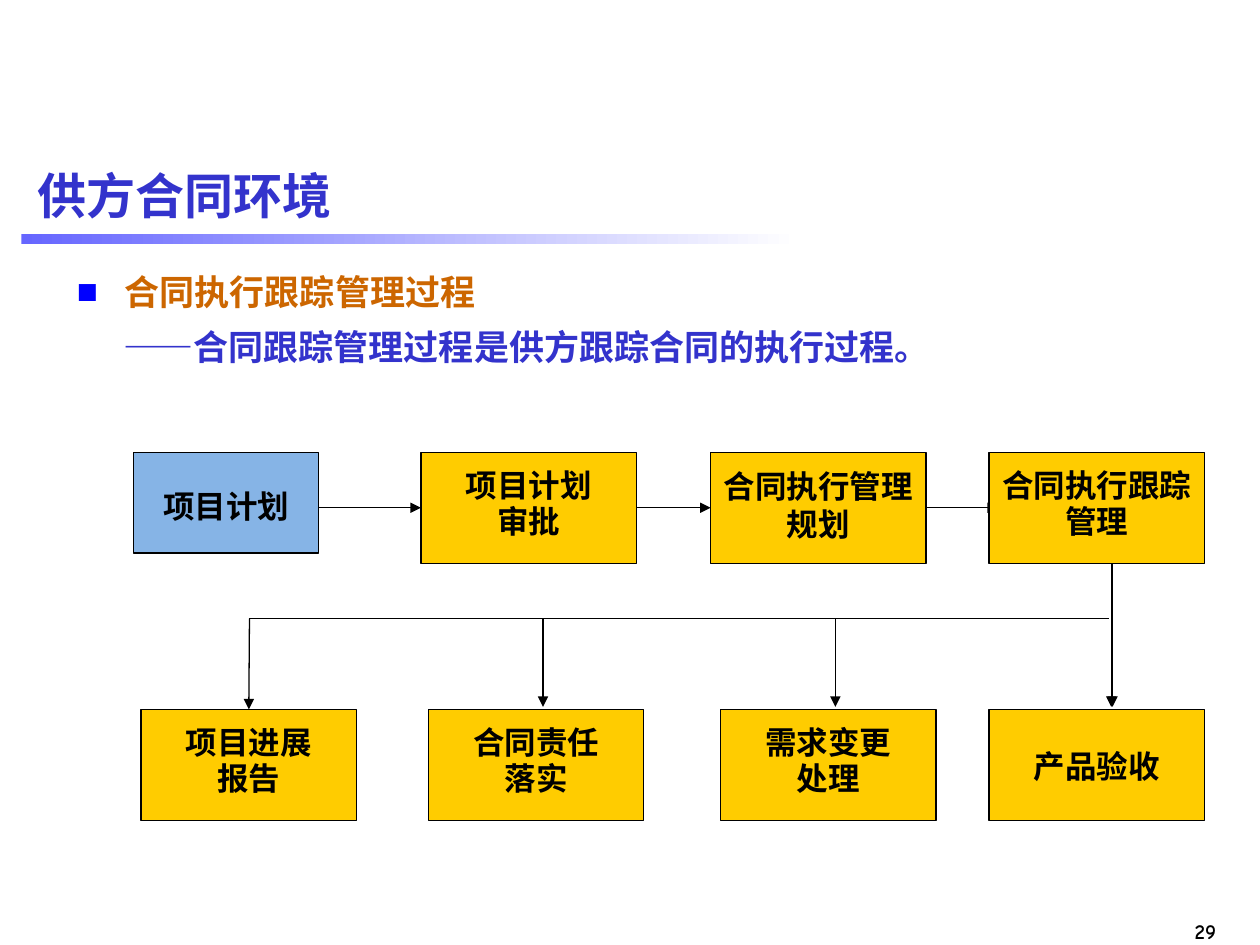
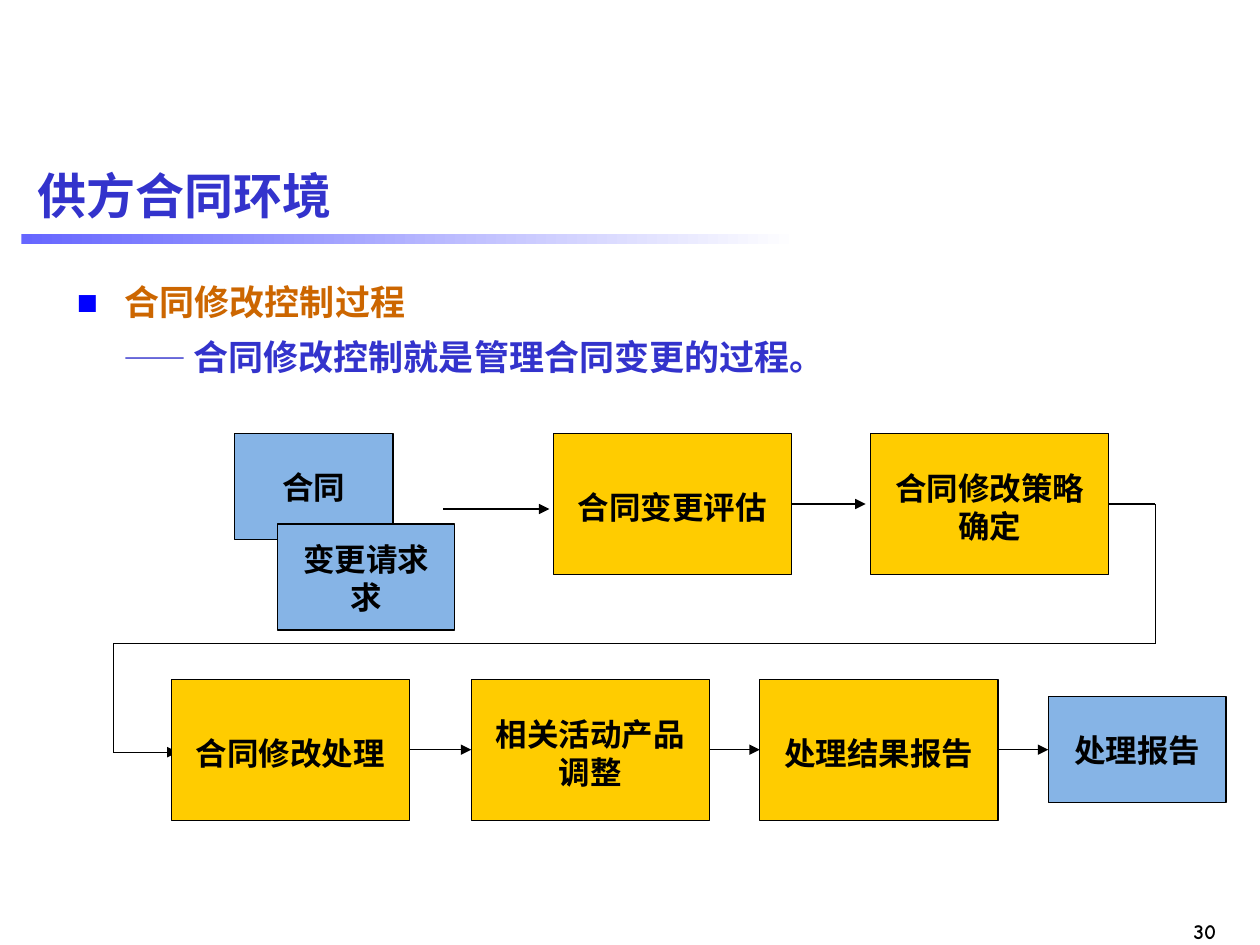
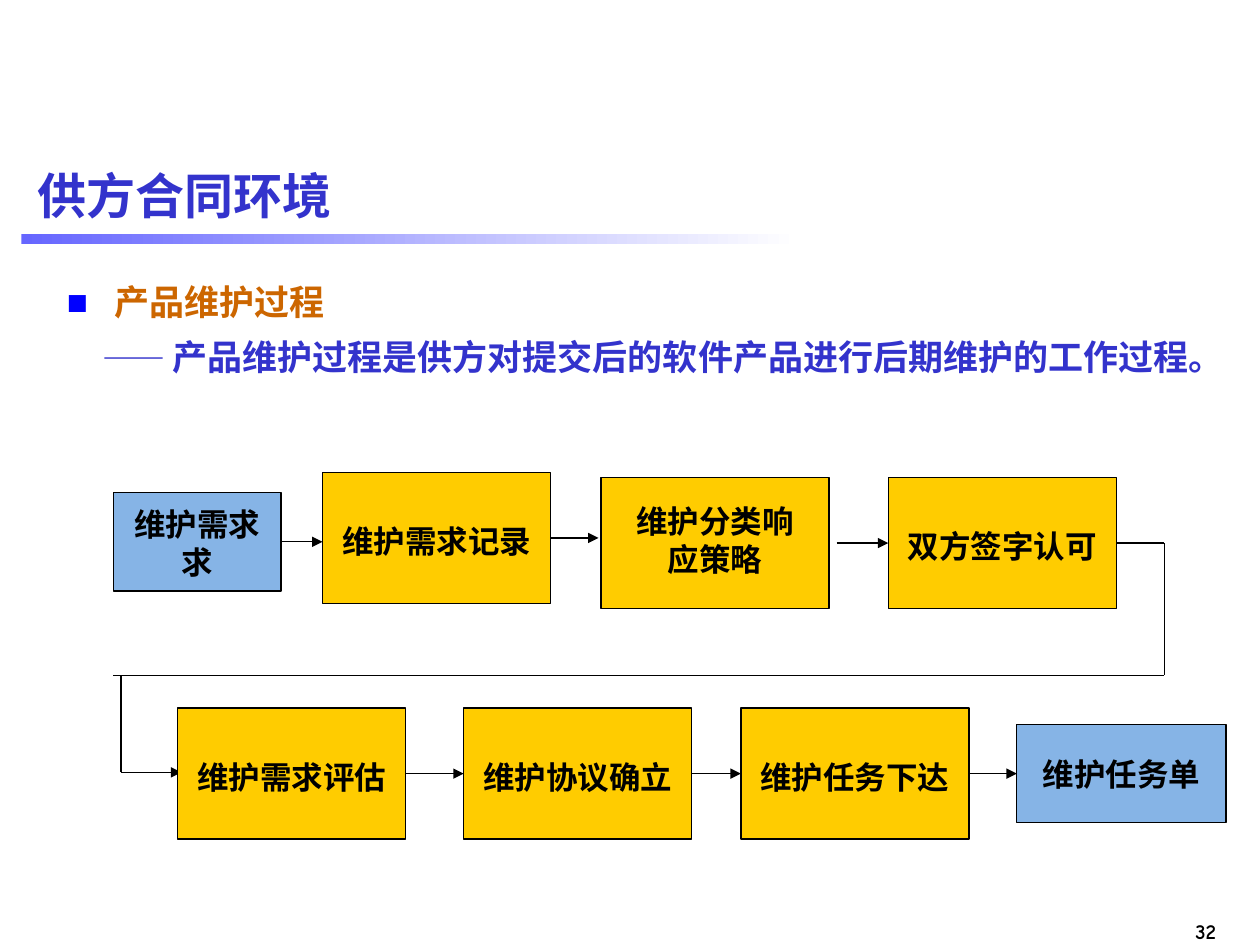
from dataclasses import dataclass
from math import hypot
from typing import Union

from lxml import etree
from pptx import Presentation
from pptx.dml.color import RGBColor
from pptx.enum import shapes, text
from pptx.oxml import ns
from pptx.util import Inches, Pt

INDIGO = RGBColor(0x33, 0x33, 0xCC)
ORANGE = RGBColor(0xCC, 0x66, 0x00)
BAND_BLUE = RGBColor(0x66, 0x66, 0xFF)
BULLET_BLUE = RGBColor(0x00, 0x00, 0xFF)
GOLD = RGBColor(0xFF, 0xCC, 0x00)
SKY = RGBColor(0x86, 0xB4, 0xE6)
BLACK = RGBColor(0x00, 0x00, 0x00)
WHITE = RGBColor(0xFF, 0xFF, 0xFF)

HEADING_FONT = "Arial"
BOX_FONT = "Times New Roman"
NUMBER_FONT = "Comic Neue"
CHINESE_FONT = "Noto Sans CJK SC"

TITLE = "供方合同环境"
JOIN_TOLERANCE = 0.025


@dataclass(frozen=True)
class BoxStyle:
    width: float
    height: float
    fill: RGBColor
    top_inset: float = 0.1
    line_spacing: float = 1.0


@dataclass(frozen=True)
class Box:
    style: BoxStyle
    left: float
    top: float
    label: str

    def side_middles(self) -> list[tuple[float, float]]:
        middle_x = self.left + self.style.width / 2
        middle_y = self.top + self.style.height / 2
        return [
            (middle_x, self.top),
            (self.left, middle_y),
            (middle_x, self.top + self.style.height),
            (self.left + self.style.width, middle_y),
        ]


@dataclass(frozen=True)
class Line:
    start: tuple[float, float]
    end: tuple[float, float]
    arrow: bool = False


@dataclass(frozen=True)
class Process:
    number: int
    heading: str
    dash: str
    dash_size: int
    summary: str
    body_left: float
    body_top: float
    summary_indent: float
    diagram: list[Union[Box, Line]]


def arrow(x1: float, x2: float, y: float) -> Line:
    return Line((x1, y), (x2, y), True)


def drop(x: float, y1: float, y2: float) -> Line:
    return Line((x, y1), (x, y2), True)


def route(*points: tuple[float, float]) -> list[Line]:
    return [Line(start, end) for start, end in zip(points, points[1:])]


def place(shape, left: float, top: float, width: float, height: float) -> None:
    shape.left, shape.top = Inches(left), Inches(top)
    shape.width, shape.height = Inches(width), Inches(height)


def set_font(paragraph, name: str, size: int, color: RGBColor) -> None:
    font = paragraph.font
    font.size, font.bold = Pt(size), True
    font.color.rgb = color
    font.name = name
    defaults = paragraph._p.pPr.find(ns.qn("a:defRPr"))
    etree.SubElement(defaults, ns.qn("a:ea"), typeface=CHINESE_FONT)


def set_bullet(paragraph, indent: float, character: str = "") -> None:
    properties = paragraph._p.get_or_add_pPr()
    properties.set("marL", str(Inches(indent)))
    properties.set("indent", str(-Inches(indent) if character else 0))
    if character:
        color = etree.SubElement(properties, ns.qn("a:buClr"))
        etree.SubElement(color, ns.qn("a:srgbClr"), val=str(BULLET_BLUE))
        etree.SubElement(properties, ns.qn("a:buFont"), typeface=HEADING_FONT)
        etree.SubElement(properties, ns.qn("a:buChar"), char=character)
    else:
        etree.SubElement(properties, ns.qn("a:buNone"))


def add_frame(slide, number: int) -> None:
    band = slide.shapes.add_shape(
        shapes.MSO_SHAPE.RECTANGLE, Inches(0.17), Inches(1.86), Inches(6.17), Inches(0.08)
    )
    band.shadow.inherit = False
    band.line.fill.background()
    band.fill.gradient()
    band.fill.gradient_angle = 0
    for stop, position, color in zip(band.fill.gradient_stops, (0, 1), (BAND_BLUE, WHITE)):
        stop.position = position
        stop.color.rgb = color

    number_box = slide.shapes.add_textbox(Inches(9.2), Inches(7.24), Inches(0.55), Inches(0.3))
    paragraph = number_box.text_frame.paragraphs[0]
    paragraph.text = str(number)
    paragraph.alignment = text.PP_ALIGN.RIGHT
    set_font(paragraph, NUMBER_FONT, 12, BLACK)


def fill_title(slide) -> None:
    title = slide.shapes.title
    place(title, 0.2, 1.15, 9.61, 0.79)
    frame = title.text_frame
    frame.auto_size = text.MSO_AUTO_SIZE.NONE
    frame.vertical_anchor = text.MSO_ANCHOR.MIDDLE
    paragraph = frame.paragraphs[0]
    paragraph.text = TITLE
    paragraph.alignment = text.PP_ALIGN.LEFT
    set_font(paragraph, HEADING_FONT, 28, INDIGO)


def fill_body(slide, process: Process) -> None:
    body = slide.placeholders[1]
    place(body, process.body_left, process.body_top, 9.8 - process.body_left, 7.3 - process.body_top)
    frame = body.text_frame
    frame.auto_size = text.MSO_AUTO_SIZE.NONE
    heading = frame.paragraphs[0]
    heading.text = process.heading
    heading.space_before = Pt(0)
    set_bullet(heading, 0.38, "■")
    set_font(heading, HEADING_FONT, 20, ORANGE)

    summary = frame.add_paragraph()
    summary.space_before = Pt(7)
    set_bullet(summary, process.summary_indent)
    set_font(summary, HEADING_FONT, 20, INDIGO)
    dash = summary.add_run()
    dash.text = process.dash
    dash.font.size = Pt(process.dash_size)
    sentence = summary.add_run()
    sentence.text = process.summary
    sentence.font.name = CHINESE_FONT


def draw_box(slide, box: Box):
    style = box.style
    shape = slide.shapes.add_shape(
        shapes.MSO_SHAPE.RECTANGLE,
        Inches(box.left), Inches(box.top), Inches(style.width), Inches(style.height),
    )
    shape.shadow.inherit = False
    shape.fill.solid()
    shape.fill.fore_color.rgb = style.fill
    shape.line.color.rgb = BLACK
    shape.line.width = Pt(0.75)
    frame = shape.text_frame
    frame.word_wrap = True
    frame.vertical_anchor = text.MSO_ANCHOR.MIDDLE
    frame.margin_left = frame.margin_right = Inches(0.1)
    frame.margin_top, frame.margin_bottom = Inches(style.top_inset), Inches(0.05)
    frame.text = box.label
    for paragraph in frame.paragraphs:
        paragraph.alignment = text.PP_ALIGN.CENTER
        paragraph.line_spacing = style.line_spacing
        set_font(paragraph, BOX_FONT, 18, BLACK)
    return shape


def join(connect, point: tuple[float, float], drawn: list) -> None:
    for box, shape in drawn:
        for site, (x, y) in enumerate(box.side_middles()):
            if hypot(point[0] - x, point[1] - y) < JOIN_TOLERANCE:
                connect(shape, site)
                return


def draw_line(slide, line: Line, drawn: list) -> None:
    connector = slide.shapes.add_connector(
        shapes.MSO_CONNECTOR.STRAIGHT, *(Inches(value) for value in line.start + line.end)
    )
    connector.line.color.rgb = BLACK
    connector.line.width = Pt(0.75)
    if line.arrow:
        etree.SubElement(connector.line._get_or_add_ln(), ns.qn("a:tailEnd"), type="triangle")
    etree.SubElement(connector._element.spPr, ns.qn("a:effectLst"))
    join(connector.begin_connect, line.start, drawn)
    join(connector.end_connect, line.end, drawn)


def draw_diagram(slide, diagram: list[Union[Box, Line]]) -> None:
    drawn: list = []
    for item in diagram:
        if isinstance(item, Box):
            drawn.append((item, draw_box(slide, item)))
        else:
            draw_line(slide, item, drawn)


def tracking_diagram() -> list[Union[Box, Line]]:
    source = BoxStyle(1.47, 0.8, SKY)
    step = BoxStyle(1.71, 0.88, GOLD, 0)
    tight = BoxStyle(1.71, 0.88, GOLD, 0, 0.96)
    single = BoxStyle(1.71, 0.88, GOLD, 0.1, 0.96)
    upper, lower, bus, tip = 3.59, 5.63, 4.91, 5.61
    return [
        Line((8.8, bus), (1.98, bus)),
        Box(source, 1.06, upper, "项目计划"),
        Box(tight, 3.34, upper, "项目计划\n审批"),
        Box(step, 5.64, upper, "合同执行管理规划"),
        arrow(2.53, 3.34, 4.03),
        arrow(5.05, 5.64, 4.03),
        arrow(7.35, 7.92, 4.03),
        Box(tight, 7.85, upper, "合同执行跟踪管理"),
        Box(tight, 1.12, lower, "项目进展\n报告"),
        Box(tight, 3.4, lower, "合同责任\n落实"),
        Box(tight, 5.72, lower, "需求变更\n处理"),
        Box(single, 7.85, lower, "产品验收"),
        *(drop(x, 4.47, tip) for x in (8.82, 8.83)),
        *(drop(x, bus, tip) for x in (6.63, 4.31, 1.98)),
    ]


def change_diagram() -> list[Union[Box, Line]]:
    contract = BoxStyle(1.26, 0.84, SKY, 0.06)
    document = BoxStyle(1.41, 0.84, SKY, 0.06)
    step = BoxStyle(1.89, 1.12, GOLD)
    upper, lower = 3.44, 5.39
    return [
        Box(contract, 1.86, upper, "合同"),
        Box(document, 2.2, 4.16, "变更请求求"),
        arrow(3.52, 4.36, 4.04),
        Box(step, 4.39, upper, "合同变更评估"),
        Box(step, 6.91, upper, "合同修改策略确定"),
        arrow(6.28, 6.87, 4.0),
        *route((8.8, 4.0), (9.17, 4.0), (9.17, 5.11), (0.9, 5.11), (0.9, 5.97)),
        arrow(0.9, 1.41, 5.97),
        Box(step, 1.36, lower, "合同修改处理"),
        Box(step, 3.74, lower, "相关活动产品调整"),
        Box(step, 6.03, lower, "处理结果报告"),
        Box(document, 8.32, 5.53, "处理报告"),
        arrow(3.25, 3.72, 5.95),
        arrow(5.63, 6.01, 5.95),
        arrow(7.92, 8.3, 5.95),
    ]


def maintenance_diagram() -> list[Union[Box, Line]]:
    request = BoxStyle(1.33, 0.78, SKY, 0.07)
    order = BoxStyle(1.66, 0.78, SKY, 0.06)
    step = BoxStyle(1.81, 1.04, GOLD)
    double = BoxStyle(1.81, 1.04, GOLD, 0)
    upper, lower = 3.79, 5.62
    return [
        Box(request, 0.9, 3.91, "维护需求求"),
        Box(step, 2.56, 3.75, "维护需求记录"),
        arrow(2.23, 2.56, 4.3),
        arrow(4.37, 4.75, 4.27),
        Box(double, 4.77, upper, "维护分类响\n应策略"),
        Box(step, 7.05, upper, "双方签字认可"),
        arrow(6.64, 7.05, 4.31),
        *route((8.88, 4.31), (9.24, 4.31), (9.24, 5.36), (0.9, 5.36)),
        Line((0.96, 5.36), (0.96, 6.13)),
        arrow(0.96, 1.44, 6.13),
        Box(step, 1.41, lower, "维护需求评估"),
        Box(step, 3.68, lower, "维护协议确立"),
        Box(step, 5.88, lower, "维护任务下达"),
        Box(order, 8.07, 5.75, "维护任务单"),
        arrow(3.22, 3.66, 6.14),
        arrow(5.49, 5.86, 6.14),
        arrow(7.69, 8.05, 6.14),
    ]


def main() -> None:
    presentation = Presentation()
    presentation.slide_width, presentation.slide_height = Inches(10), Inches(7.5)
    processes = [
        Process(29, "合同执行跟踪管理过程", "——", 20, "合同跟踪管理过程是供方跟踪合同的执行过程。",
                0.51, 2.1, 0.37, tracking_diagram()),
        Process(30, "合同修改控制过程", "—— ", 18, "合同修改控制就是管理合同变更的过程。",
                0.51, 2.18, 0.37, change_diagram()),
        Process(32, "产品维护过程", "—— ", 18, "产品维护过程是供方对提交后的软件产品进行后期维护的工作过程。",
                0.43, 2.18, 0.28, maintenance_diagram()),
    ]
    for process in processes:
        slide = presentation.slides.add_slide(presentation.slide_layouts[1])
        add_frame(slide, process.number)
        fill_title(slide)
        fill_body(slide, process)
        draw_diagram(slide, process.diagram)
    presentation.save("out.pptx")


if __name__ == "__main__":
    main()
